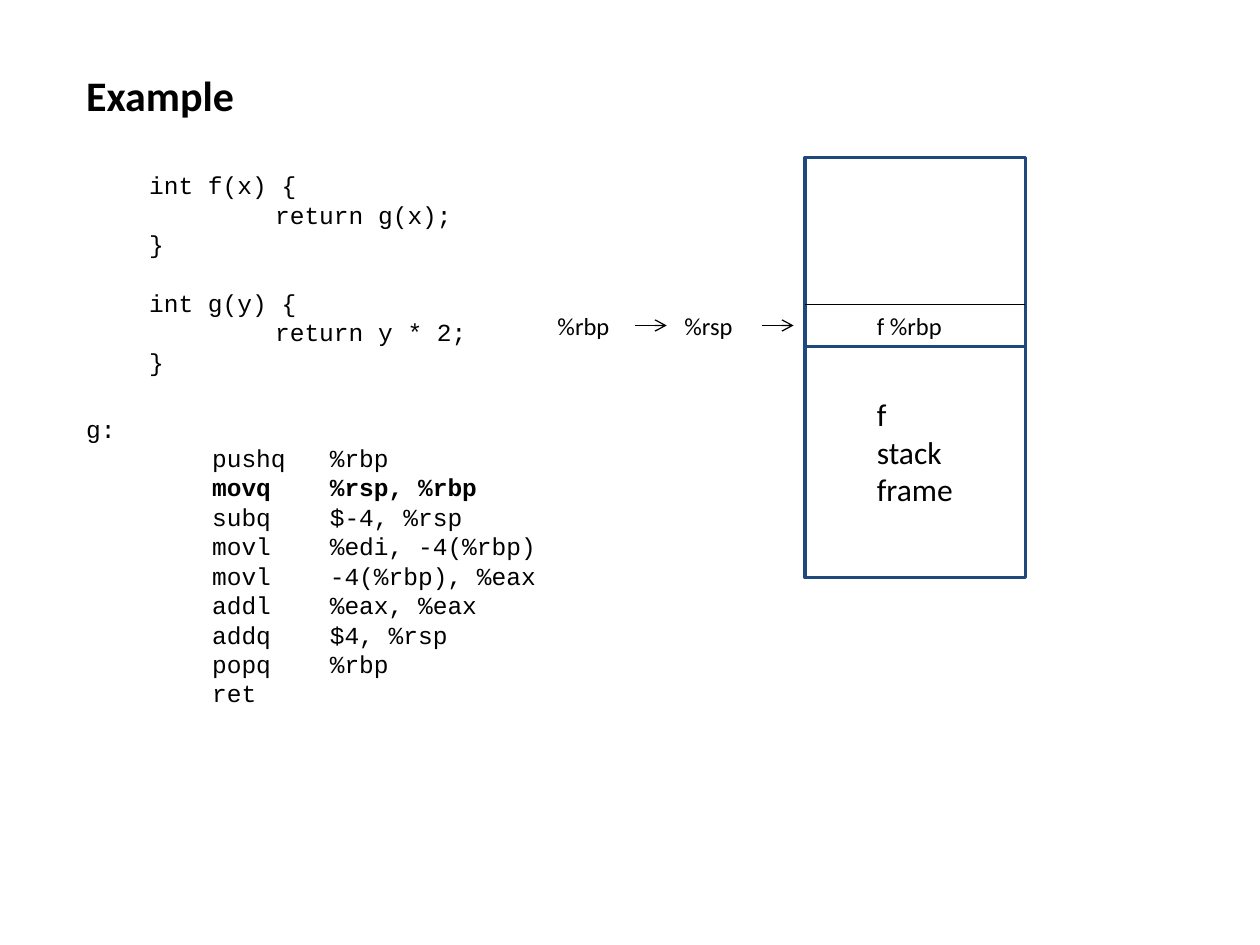
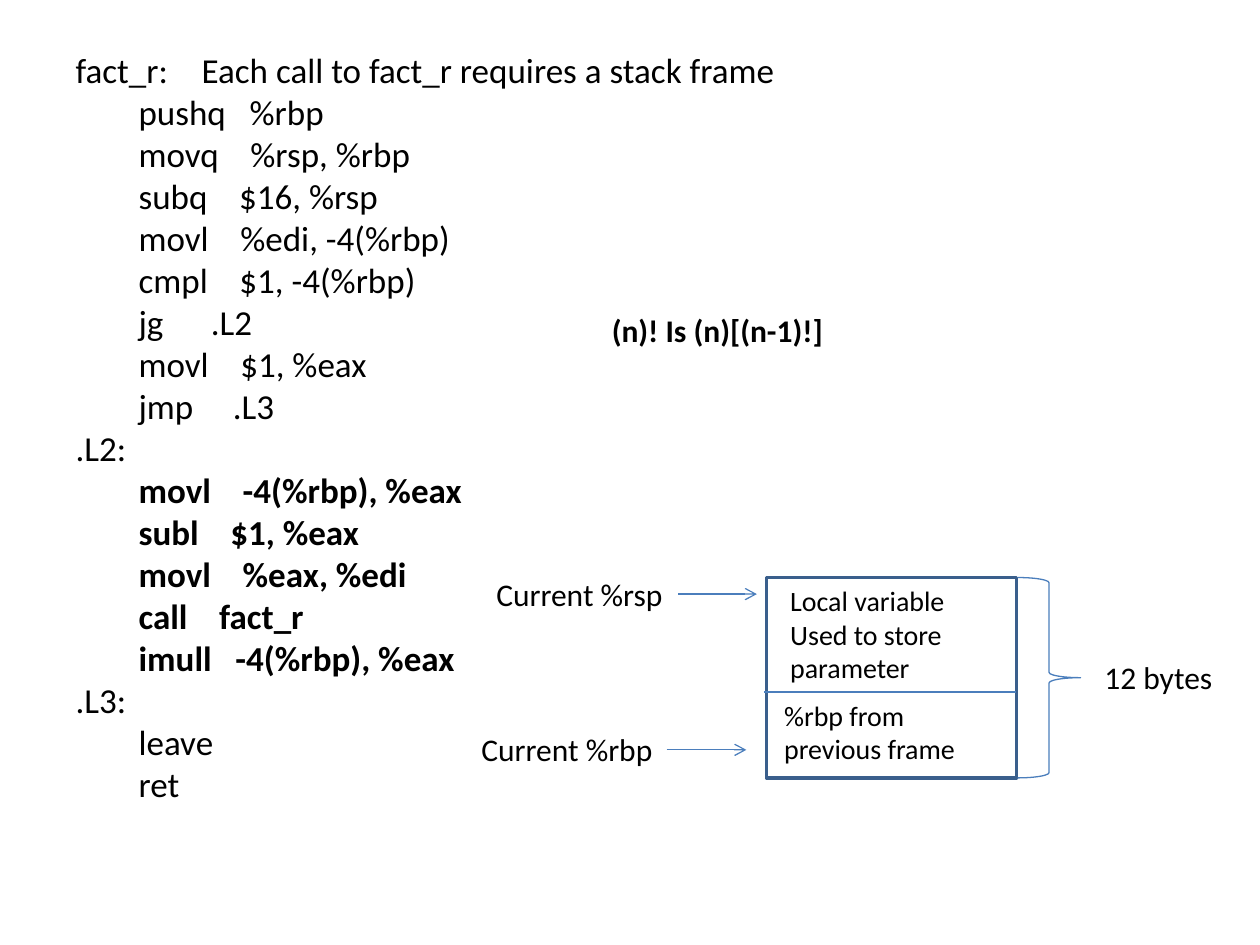
from pptx import Presentation
from pptx.dml.color import RGBColor
from pptx.enum.shapes import MSO_CONNECTOR, MSO_SHAPE
from pptx.enum.text import MSO_ANCHOR, MSO_AUTO_SIZE, PP_ALIGN
from pptx.oxml.ns import qn
from pptx.util import Pt
from lxml.etree import SubElement

BLACK = RGBColor(0, 0, 0)
WHITE = RGBColor(255, 255, 255)
NAVY = RGBColor(0x1F, 0x49, 0x7D)
STEEL = RGBColor(0x3A, 0x5F, 0x8C)
BLUE = RGBColor(0x4B, 0x7E, 0xBC)
SANS = "Calibri"
MONO = "Courier New"
STEP = 36

C_CODE = [
    (1, "int f(x) {"),
    (3, "return g(x);"),
    (1, "}"),
    (1, "int g(y) {", 16.8),
    (3, "return y * 2;"),
    (1, "}"),
]
G_CODE = [
    (0, "g:", 21.5),
    (2, "pushq   %rbp"),
    (2, "movq    %rsp, %rbp", 0, True),
    (2, "subq    $-4, %rsp"),
    (2, "movl    %edi, -4(%rbp)"),
    (2, "movl    -4(%rbp), %eax"),
    (2, "addl    %eax, %eax"),
    (2, "addq    $4, %rsp"),
    (2, "popq    %rbp"),
    (2, "ret"),
]
FACT = [
    (0, "fact_r:\tEach call to fact_r requires a stack frame"),
    (1, "pushq   %rbp"),
    (1, "movq    %rsp, %rbp"),
    (1, "subq    $16, %rsp"),
    (1, "movl    %edi, -4(%rbp)"),
    (1, "cmpl    $1, -4(%rbp)"),
    (1, "jg      .L2"),
    (1, "movl    $1, %eax"),
    (1, "jmp     .L3"),
    (0, ".L2:"),
    (1, "movl    -4(%rbp), %eax", 0, True),
    (1, "subl    $1, %eax", 0, True),
    (1, "movl    %eax, %edi", 0, True),
    (1, "call    fact_r", 0, True),
    (1, "imull   -4(%rbp), %eax", 0, True),
    (0, ".L3:"),
    (1, "leave"),
    (1, "ret"),
]


def place(shape, x, y, w, h):
    shape.left, shape.top = Pt(x), Pt(y)
    shape.width, shape.height = Pt(w), Pt(h)


def write(para, text, size, bold=False, face=SANS):
    run = para.add_run()
    run.text = text
    font = run.font
    font.name, font.size, font.bold = face, Pt(size), bold
    font.color.rgb = BLACK


def label(slide, x, y, w, h, lines, size, bold=False, wrap=False):
    frame = slide.shapes.add_textbox(Pt(x), Pt(y), Pt(w), Pt(h)).text_frame
    frame.word_wrap = wrap
    for i, text in enumerate(lines):
        para = frame.add_paragraph() if i else frame.paragraphs[0]
        write(para, text, size, bold)


def line(slide, x, y, w, color, width=0.75, arrow=False):
    link = slide.shapes.add_connector(
        MSO_CONNECTOR.STRAIGHT, Pt(x), Pt(y), Pt(x + w), Pt(y))
    link.line.color.rgb = color
    link.line.width = Pt(width)
    props = link.element.spPr
    if arrow:
        SubElement(props.find(qn("a:ln")), qn("a:tailEnd"), type="arrow")
    SubElement(props, qn("a:effectLst"))


def outline(slide, kind, x, y, w, h, color, width, fill=None):
    shape = slide.shapes.add_shape(kind, Pt(x), Pt(y), Pt(w), Pt(h))
    shape.shadow.inherit = False
    shape.line.color.rgb = color
    shape.line.width = Pt(width)
    if fill is None:
        shape.fill.background()
    else:
        shape.fill.solid()
        shape.fill.fore_color.rgb = fill


def heading(slide, text, x, y, w, h):
    title = slide.shapes.title
    place(title, x, y, w, h)
    frame = title.text_frame
    frame.auto_size = MSO_AUTO_SIZE.NONE
    frame.vertical_anchor = MSO_ANCHOR.TOP
    para = frame.paragraphs[0]
    para.alignment = PP_ALIGN.LEFT
    write(para, text, 24, True)


def listing(slide, rows, x, y, w, h, size, face, tab=None):
    body = slide.placeholders[1]
    place(body, x, y, w, h)
    frame = body.text_frame
    frame.auto_size = MSO_AUTO_SIZE.NONE
    for i, (depth, text, gap, bold) in enumerate(
            (*row, 0, False)[:4] if len(row) != 3 else (*row, False)
            for row in rows):
        para = frame.add_paragraph() if i else frame.paragraphs[0]
        para.line_spacing = Pt(size * 1.2)
        para.space_before = Pt(gap)
        props = para._p.get_or_add_pPr()
        props.set("marL", str(Pt(depth * STEP)))
        props.set("indent", "0")
        SubElement(props, qn("a:buNone"))
        if tab and "\t" in text:
            tabs = SubElement(props, qn("a:tabLst"))
            SubElement(tabs, qn("a:tab"), pos=str(Pt(tab)), algn="l")
        write(para, text, size, bold, face)


def stack(slide, x, y, w, h):
    row, base = y + 84, y + 108
    outline(slide, MSO_SHAPE.RECTANGLE, x, y, w, h, NAVY, 2, WHITE)
    line(slide, x, base, w, NAVY, 1.5)
    line(slide, x, row, w, BLACK)
    label(slide, x + 34, row, 52, 24, ["f %rbp"], 14)
    label(slide, x + 34, y + 132, 58, 73, ["f", "stack", "frame"], 18)
    for name, back in (("%rsp", 76), ("%rbp", 148.5)):
        label(slide, x - back, row, 45, 24, [name], 14)
    for back in (24.5, 97):
        line(slide, x - back, row + 12, 18, BLACK, arrow=True)


def frame(slide, x, y, w, h):
    split = y + 65.5
    outline(slide, MSO_SHAPE.RECTANGLE, x, y, w, h, STEEL, 2)
    line(slide, x - 1.5, split, w + 1, BLUE)
    label(slide, x + 6.5, y, 125, 65.5,
          ["Local variable", "Used to store parameter"], 16, wrap=True)
    label(slide, x + 3, split, 138, 46,
          ["%rbp from previous frame"], 16, wrap=True)
    outline(slide, MSO_SHAPE.RIGHT_BRACE, x + w + 0.5, y, 36, h, BLUE, 0.75)
    label(slide, x + w + 43, y + 42.5, 77, 29, ["12 bytes"], 18)
    for name, back, top, start, size, drop in (
            ("Current %rsp", 161.5, -5, 50.5, 45, 9.5),
            ("Current %rbp", 170, 83.5, 57, 45.5, 98.5)):
        label(slide, x - back, y + top, 112, 29, [name], 18)
        line(slide, x - start, y + drop, size, BLUE, arrow=True)


def example(deck):
    slide = deck.slides.add_slide(deck.slide_layouts[1])
    heading(slide, "Example", 42, 36, 303, 36)
    listing(slide, C_CODE + G_CODE, 42, 93.6, 303, 335, 14, MONO)
    stack(slide, 460, 90, 126, 240)


def recurse(deck):
    slide = deck.slides.add_slide(deck.slide_layouts[1])
    title = slide.shapes.title.element
    title.getparent().remove(title)
    listing(slide, FACT, 36, 24, 666, 456, 20, SANS, 292)
    frame(slide, 438, 330, 143, 114.5)
    label(slide, 342.5, 174, 137, 29, ["(n)! Is (n)[(n-1)!]"], 18, True)


def main():
    deck = Presentation()
    deck.slide_width, deck.slide_height = Pt(720), Pt(540)
    example(deck)
    recurse(deck)
    deck.save("out.pptx")


if __name__ == "__main__":
    main()
